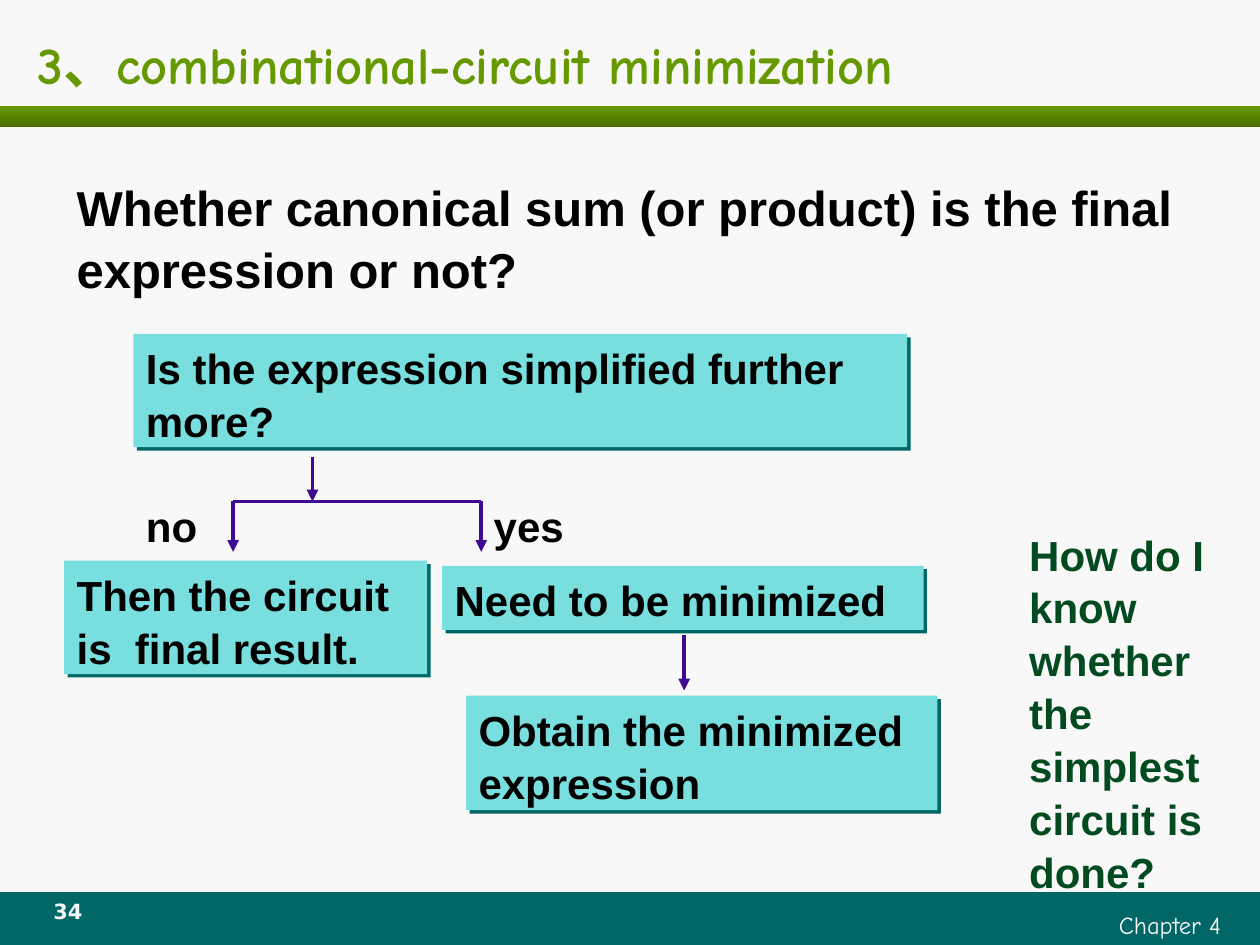
from dataclasses import dataclass

from pptx import Presentation
from pptx import util as u
from pptx.dml.color import RGBColor
from pptx.enum import shapes, text
from pptx.oxml import parse_xml
from pptx.oxml.ns import nsdecls, qn


@dataclass(frozen=True)
class Theme:
    back: str = "F8F8F8"
    teal: str = "006666"
    green: str = "669900"
    dark_green: str = "496D00"
    box: str = "78DEDE"
    arrow: str = "400991"
    ink: str = "000000"
    note: str = "024A1F"
    body_font: str = "Arial"
    title_font: str = "Comic Neue"
    number_font: str = "DejaVu Sans"
    title_size: int = 30
    lead_size: int = 28
    body_size: int = 24
    footer_size: int = 14
    number_size: int = 12
    line_width: float = 2.25
    line_spacing: float = 1.05


def rgb(value):
    return RGBColor.from_string(value)


def inches(*values):
    return [u.Inches(v) for v in values]


class SlideBuilder:
    def __init__(self, slide, theme):
        self.s = slide
        self.t = theme
        fill = slide.background.fill
        fill.solid()
        fill.fore_color.rgb = rgb(theme.back)

    def set_text(self, sp, words, color=None, align=text.PP_ALIGN.LEFT,
                 anchor=text.MSO_ANCHOR.TOP, spacing=None, **font):
        tf = sp.text_frame
        frame = {"word_wrap": True, "auto_size": text.MSO_AUTO_SIZE.NONE,
                 "vertical_anchor": anchor}
        for name, value in frame.items():
            setattr(tf, name, value)
        p = tf.paragraphs[0]
        p.alignment = align
        p.line_spacing = spacing or self.t.line_spacing
        r = p.add_run()
        r.text = words
        style = {"name": self.t.body_font, "size": self.t.body_size, "bold": True} | font
        style["size"] = u.Pt(style["size"])
        for name, value in style.items():
            setattr(r.font, name, value)
        r.font.color.rgb = rgb(color or self.t.ink)

    def title(self, words, at):
        sp = self.s.shapes.title
        for name, value in zip(("left", "top", "width", "height"), inches(*at)):
            setattr(sp, name, value)
        self.set_text(sp, words, self.t.green, anchor=text.MSO_ANCHOR.MIDDLE, spacing=1.0,
                      name=self.t.title_font, size=self.t.title_size)

    def label(self, words, at, **style):
        self.set_text(self.s.shapes.add_textbox(*inches(*at)), words, **style)

    def bar(self, at, color, end_color=None):
        """Draw a plain band; end_color turns it into a top-to-bottom gradient."""
        sp = self.s.shapes.add_shape(shapes.MSO_SHAPE.RECTANGLE, *inches(*at))
        sp.shadow.inherit = False
        sp.line.fill.background()
        if end_color:
            sp.fill.gradient()
            sp.fill.gradient_angle = 270
            for stop, value, place in zip(sp.fill.gradient_stops, (color, end_color), (0, 1)):
                stop.color.rgb = rgb(value)
                stop.position = place
        else:
            sp.fill.solid()
            sp.fill.fore_color.rgb = rgb(color)
        return sp

    def box(self, words, at):
        """Draw a flow-chart step with a hard shadow to the lower right."""
        sp = self.bar(at, self.t.box)
        effects = sp._element.spPr.find(qn("a:effectLst"))
        effects.append(parse_xml(
            f'<a:outerShdw {nsdecls("a")} blurRad="0" dist="{u.Pt(2.8)}" dir="2700000" '
            f'algn="ctr" rotWithShape="0"><a:srgbClr val="{self.t.teal}"/></a:outerShdw>'))
        self.set_text(sp, words)

    def line(self, x1, y1, x2, y2, arrow=True):
        sp = self.s.shapes.add_connector(shapes.MSO_CONNECTOR.STRAIGHT,
                                         *inches(x1, y1, x2, y2))
        sp.line.color.rgb = rgb(self.t.arrow)
        sp.line.width = u.Pt(self.t.line_width)
        if arrow:
            sp.line._get_or_add_ln().append(
                parse_xml(f'<a:tailEnd {nsdecls("a")} type="triangle"/>'))
        sp._element.spPr.append(parse_xml(f'<a:effectLst {nsdecls("a")}/>'))


def main():
    prs = Presentation()
    prs.slide_width, prs.slide_height = inches(10, 7.5)
    t = Theme()
    s = SlideBuilder(prs.slides.add_slide(prs.slide_layouts[5]), t)

    s.bar((0, 7.08, 10, 0.42), t.teal)
    s.bar((0, 0.84, 10, 0.17), t.green, t.dark_green)
    s.label("Chapter 4", (5.79, 7.17, 4, 0.33), color=t.back, spacing=1.0, bold=False,
            align=text.PP_ALIGN.RIGHT, name=t.title_font, size=t.footer_size)
    s.label("34", (0.25, 7.08, 0.58, 0.33), color=t.back, spacing=1.0,
            align=text.PP_ALIGN.CENTER, name=t.number_font, size=t.number_size)

    s.title("3、combinational-circuit minimization", (0.2, 0.17, 9.55, 0.67))
    s.label("Whether canonical sum (or product) is the final expression or not?",
            (0.51, 1.34, 9.1, 1.03), size=t.lead_size)

    no_x, stem_x, yes_x, fork_y = 1.85, 2.48, 3.82, 3.98
    s.label("no", (1.06, 3.9, 0.91, 0.5))
    s.label("yes", (yes_x, 3.9, 0.79, 0.5))
    s.line(stem_x, 3.63, stem_x, fork_y)
    s.line(no_x, fork_y, yes_x, fork_y, arrow=False)
    for x in (no_x, yes_x):
        s.line(x, fork_y, x, fork_y + 0.4)
    s.line(5.43, 5.04, 5.43, 5.48)

    steps = [
        ("Is the expression simplified further more?", (1.06, 2.65, 6.14, 0.9)),
        ("Then the circuit is  final result.", (0.51, 4.45, 2.88, 0.9)),
        ("Need to be minimized", (3.51, 4.49, 3.82, 0.51)),
        ("Obtain the minimized expression", (3.7, 5.52, 3.74, 0.91)),
    ]
    for words, at in steps:
        s.box(words, at)

    s.label("How do I know whether the simplest circuit is done?",
            (8.07, 4.13, 1.61, 2.93), color=t.note)
    prs.save("out.pptx")


if __name__ == "__main__":
    main()
